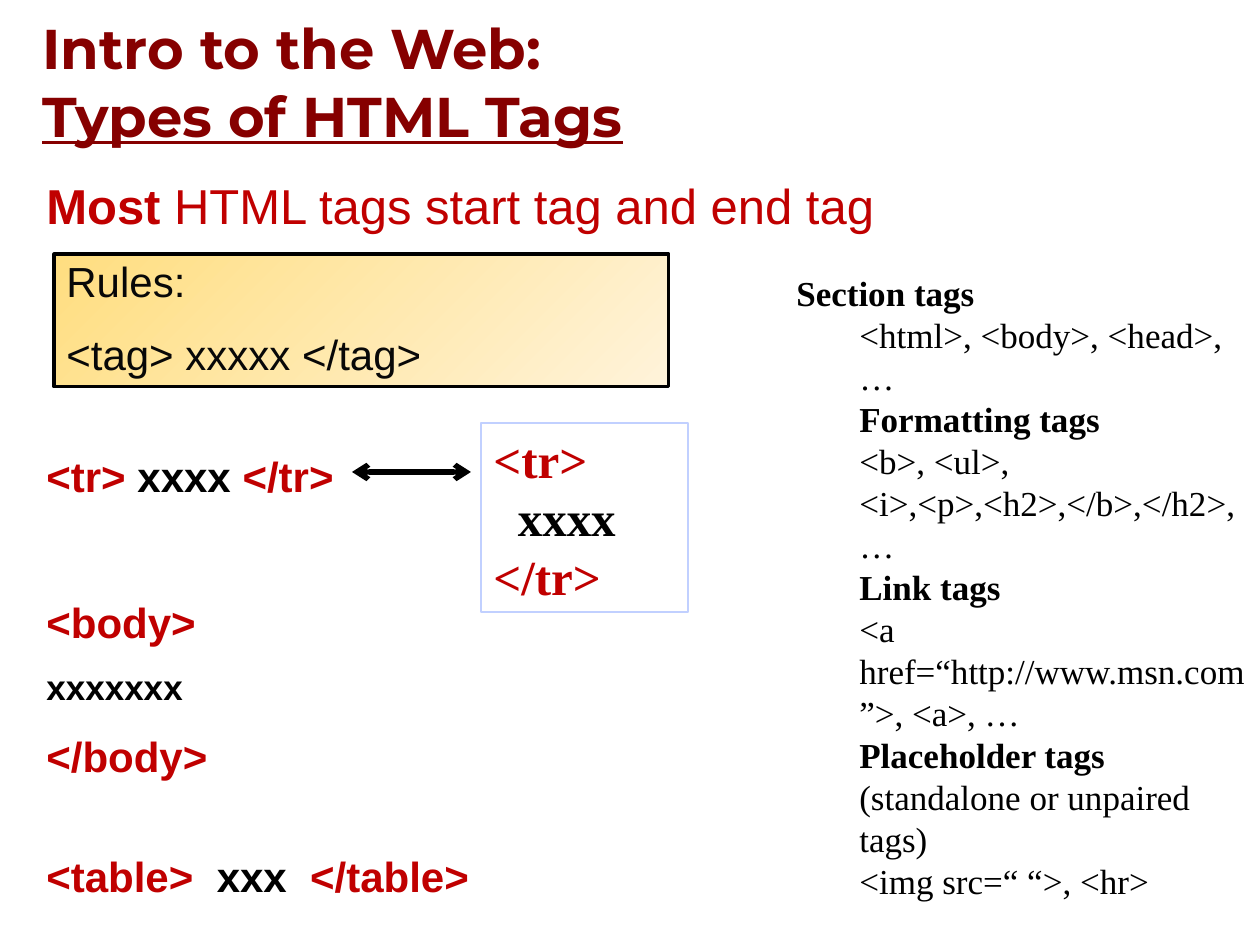
from dataclasses import dataclass

from lxml.etree import SubElement
from pptx import Presentation
from pptx.dml.color import RGBColor
from pptx.enum.shapes import MSO_CONNECTOR, MSO_SHAPE
from pptx.enum.text import MSO_ANCHOR, PP_ALIGN
from pptx.oxml.ns import qn
from pptx.util import Emu, Pt

COLORS = {
    "title": "860000",
    "tag": "C00000",
    "ink": "000000",
    "rules": "080808",
    "pale": "FFF3DA",
    "gold": "FFDE80",
    "frame": "C1D0FF",
}
EMU_PER_PX = 914400 / 126
SANS, SERIF, DISPLAY = "Arial", "Times New Roman", "Montserrat"


@dataclass
class Run:
    text: str
    color: str = "ink"
    bold: bool = True
    underline: bool = False


@dataclass
class Line:
    runs: list[Run]
    size: int
    before: float = 0
    indent: int = 0


@dataclass
class Block:
    left: int
    top: int
    width: int
    height: int
    font: str
    lines: list[Line]
    spacing: float = 1.0
    anchor: MSO_ANCHOR = MSO_ANCHOR.TOP


def px(length: int) -> Emu:
    """Turn pixels into EMU."""
    return Emu(round(length * EMU_PER_PX))


def rgb(name: str) -> RGBColor:
    """Look up a named colour."""
    return RGBColor.from_string(COLORS[name])


def write(shape, block: Block) -> None:
    """Fill a shape with the lines of a block."""
    frame = shape.text_frame
    frame.word_wrap = True
    frame.vertical_anchor = block.anchor
    for index, line in enumerate(block.lines):
        paragraph = frame.paragraphs[0] if index == 0 else frame.add_paragraph()
        paragraph.alignment = PP_ALIGN.LEFT
        paragraph.line_spacing = block.spacing
        paragraph.space_before = Pt(line.before)
        if line.indent:
            properties = paragraph._p.get_or_add_pPr()
            properties.set("marL", str(px(line.indent)))
            properties.set("indent", "0")
        for part in line.runs:
            if part.text == "\n":
                paragraph.add_line_break()
                continue
            run = paragraph.add_run()
            run.text = part.text
            run.font.name = block.font
            run.font.size = Pt(line.size)
            run.font.bold = part.bold
            run.font.underline = part.underline
            run.font.color.rgb = rgb(part.color)


def add_text(slide, block: Block) -> None:
    """Add a plain text box."""
    box = slide.shapes.add_textbox(
        px(block.left), px(block.top), px(block.width), px(block.height))
    write(box, block)


def add_panel(slide, block: Block, border: str, weight: float, gradient: bool) -> None:
    """Add an outlined rectangle with text."""
    panel = slide.shapes.add_shape(
        MSO_SHAPE.RECTANGLE,
        px(block.left), px(block.top), px(block.width), px(block.height))
    panel.shadow.inherit = False
    if gradient:
        panel.fill.gradient()
        panel.fill.gradient_angle = 135
        for stop, color in zip(panel.fill.gradient_stops, ("pale", "gold")):
            stop.color.rgb = rgb(color)
    else:
        panel.fill.background()
    panel.line.color.rgb = rgb(border)
    panel.line.width = Pt(weight)
    write(panel, block)


def add_double_arrow(slide, left: int, right: int, y: int) -> None:
    """Add a horizontal line with an open arrowhead at both ends."""
    arrow = slide.shapes.add_connector(
        MSO_CONNECTOR.STRAIGHT, px(left), px(y), px(right), px(y))
    arrow.line.color.rgb = rgb("ink")
    arrow.line.width = Pt(3)
    outline = arrow.line._get_or_add_ln()
    for end in ("a:headEnd", "a:tailEnd"):
        SubElement(outline, qn(end)).set("type", "arrow")
    SubElement(arrow._element.spPr, qn("a:effectLst"))


def tag_list() -> list[Line]:
    """Build the column of tag groups, indented after its first heading."""
    groups = [
        ("Section tags", "", "<html>, <body>, <head>, …"),
        ("Formatting tags", "", "<b>, <ul>, <i>,<p>,<h2>,</b>,</h2>, …"),
        ("Link tags", "", "<a href=“http://www.msn.com”>, <a>, …"),
        ("Placeholder tags", " (standalone or unpaired tags)", "<img src=“ “>, <hr>"),
    ]
    lines = []
    for heading, remark, tags in groups:
        runs = [Run(heading)]
        if remark:
            runs.append(Run(remark, bold=False))
        lines.append(Line(runs, 20, indent=63 if lines else 0))
        lines.append(Line([Run(tags, bold=False)], 20, indent=63))
    return lines


def main() -> None:
    """Build the slide and save it."""
    deck = Presentation()
    deck.slide_width, deck.slide_height = px(1260), px(945)
    slide = deck.slides.add_slide(deck.slide_layouts[6])

    examples = Block(34, 175, 863, 735, SANS, [
        Line([Run("Most", "tag"),
              Run(" HTML tags start tag and end tag", "tag", bold=False)], 28),
        Line([Run("<tr> ", "tag"), Run("xxxx"), Run(" </tr>", "tag")], 24, 125),
        Line([Run("<body>", "tag")], 24, 56.7),
        Line([Run("xxxxxxx")], 20, 12.5),
        Line([Run("</body>", "tag")], 24, 15),
        Line([Run("<table>  ", "tag"), Run("xxx "), Run(" </table>", "tag")], 24, 41.7),
    ], spacing=0.93)
    rules = Block(54, 254, 615, 133, SANS, [
        Line([Run("Rules:", "rules", bold=False)], 24),
        Line([Run("<tag> xxxxx </tag>", "rules", bold=False)], 24, 15),
    ], spacing=0.93)
    tag_groups = Block(784, 265, 476, 643, SERIF, tag_list())
    row_example = Block(481, 423, 207, 189, SERIF, [
        Line([Run("<tr>", "tag")], 28),
        Line([Run("  xxxx")], 28),
        Line([Run("</tr>", "tag")], 28),
    ])
    title = Block(30, 26, 1106, 110, DISPLAY, [
        Line([Run("Intro to the Web:", "title"), Run("\n"),
              Run("Types of HTML Tags", "title", underline=True)], 32),
    ], anchor=MSO_ANCHOR.MIDDLE)

    add_text(slide, examples)
    add_panel(slide, rules, "ink", 1.75, gradient=True)
    add_text(slide, tag_groups)
    add_panel(slide, row_example, "frame", 0.75, gradient=False)
    add_text(slide, title)
    add_double_arrow(slide, 352, 471, 472)
    deck.save("out.pptx")


if __name__ == "__main__":
    main()
